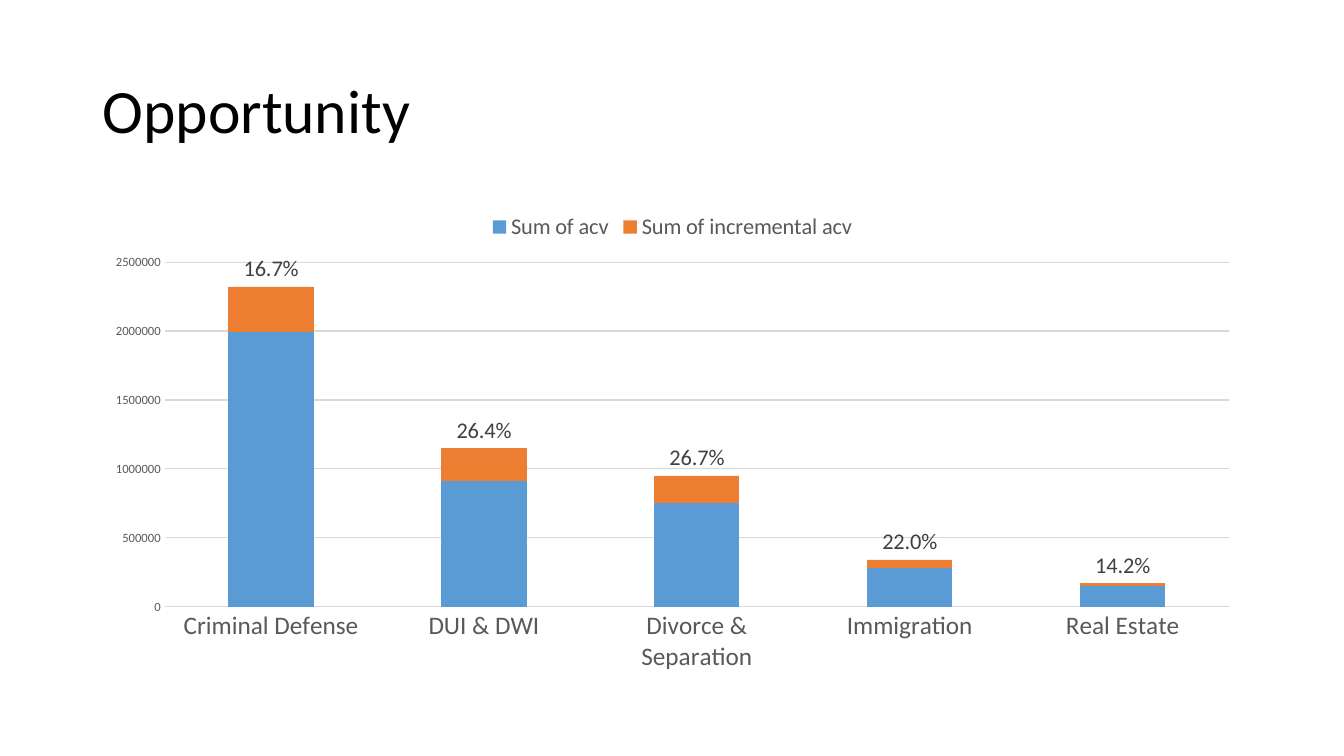
from dataclasses import dataclass

from lxml import etree
from pptx import Presentation
from pptx.chart.data import CategoryChartData
from pptx.dml.color import RGBColor
from pptx.enum.chart import XL_CHART_TYPE, XL_LABEL_POSITION, XL_LEGEND_POSITION, XL_TICK_MARK
from pptx.enum.text import MSO_ANCHOR
from pptx.oxml.ns import qn
from pptx.util import Inches, Pt

STACKED = XL_CHART_TYPE.COLUMN_STACKED
INSIDE_BASE = XL_LABEL_POSITION.INSIDE_BASE
LEGEND_TOP = XL_LEGEND_POSITION.TOP
NO_TICK = XL_TICK_MARK.NONE
MIDDLE = MSO_ANCHOR.MIDDLE


@dataclass(frozen=True)
class Theme:
    """Colours, font and type sizes of the slide."""
    font: str = "Calibri"
    title: str = "000000"
    muted: str = "595959"
    label: str = "404040"
    grid: str = "D9D9D9"
    series: tuple = ("5B9BD5", "ED7D31", "A5A5A5")
    title_size: int = 44
    category_size: int = 18
    label_size: int = 16
    chart_size: int = 10
    value_size: int = 9


THEME = Theme()
PRACTICE_AREAS = ("Criminal Defense", "DUI & DWI", "Divorce & Separation",
                  "Immigration", "Real Estate")
ACV = (1990000, 910000, 750000, 280000, 150000)
INCREMENTAL_ACV = (330000, 240000, 200000, 60000, 20000)
GROWTH = (0.167, 0.264, 0.267, 0.22, 0.142)


def style_font(font, size, color):
    """Set typeface, size and colour."""
    font.name = THEME.font
    font.size = Pt(size)
    font.bold = False
    font.color.rgb = RGBColor.from_string(color)


def style_line(line):
    """Give a chart line the thin grid style."""
    line.color.rgb = RGBColor.from_string(THEME.grid)
    line.width = Pt(0.75)


def add_text(slide, text, box, *, size, color, anchor=MIDDLE, spacing=0.9):
    """Add a wrapped text box."""
    frame = slide.shapes.add_textbox(*map(Inches, box)).text_frame
    frame.word_wrap = True
    frame.vertical_anchor = anchor
    paragraph = frame.paragraphs[0]
    paragraph.line_spacing = spacing
    run = paragraph.add_run()
    run.text = text
    style_font(run.font, size, color)


def style_axes(chart):
    """Format the practice area axis and the value axis."""
    areas, amounts = chart.category_axis, chart.value_axis
    for axis, size in ((areas, THEME.category_size), (amounts, THEME.value_size)):
        axis.major_tick_mark = axis.minor_tick_mark = NO_TICK
        style_font(axis.tick_labels.font, size, THEME.muted)
    style_line(areas.format.line)
    amounts.format.line.fill.background()
    amounts.minimum_scale, amounts.maximum_scale = 0, 2500000
    amounts.major_unit = 500000
    amounts.has_major_gridlines = True
    style_line(amounts.major_gridlines.format.line)


def style_legend(chart, hidden_index):
    """Place the legend on top and leave one series out of it."""
    chart.has_legend = True
    legend = chart.legend
    legend.position = LEGEND_TOP
    legend.include_in_layout = False
    style_font(legend.font, THEME.label_size, THEME.muted)
    entry = etree.Element(qn("c:legendEntry"))
    for tag, value in (("c:idx", hidden_index), ("c:delete", 1)):
        etree.SubElement(entry, qn(tag)).set("val", str(value))
    legend._element.find(qn("c:legendPos")).addnext(entry)


def label_growth(series):
    """Show the growth rates above the stacks."""
    labels = series.data_labels
    labels.show_value = True
    labels.position = INSIDE_BASE
    labels.number_format = "0.0%"
    labels.number_format_is_linked = False
    style_font(labels.font, THEME.label_size, THEME.label)


def add_opportunity_chart(slide, box):
    """Add the stacked columns with growth labels."""
    data = CategoryChartData()
    data.categories = PRACTICE_AREAS
    data.add_series("Sum of acv", ACV)
    data.add_series("Sum of incremental acv", INCREMENTAL_ACV)
    data.add_series("Series 3", GROWTH, number_format="0.0%")
    chart = slide.shapes.add_chart(STACKED, *map(Inches, box), data).chart
    chart.has_title = False
    style_font(chart.font, THEME.chart_size, THEME.title)
    plot = chart.plots[0]
    plot.gap_width, plot.overlap = 150, 100
    plot.vary_by_categories = False
    for series, color in zip(plot.series, THEME.series):
        series.format.fill.solid()
        series.format.fill.fore_color.rgb = RGBColor.from_string(color)
    label_growth(plot.series[2])
    style_axes(chart)
    style_legend(chart, hidden_index=2)


def main():
    """Build and save the slide."""
    deck = Presentation()
    deck.slide_width, deck.slide_height = Inches(13.33), Inches(7.5)
    slide = deck.slides.add_slide(deck.slide_layouts[6])
    add_text(slide, "Opportunity", (0.92, 0.4, 11.5, 1.45),
             size=THEME.title_size, color=THEME.title)
    add_opportunity_chart(slide, (0.92, 2, 11.5, 4.76))
    deck.save("out.pptx")


main()
